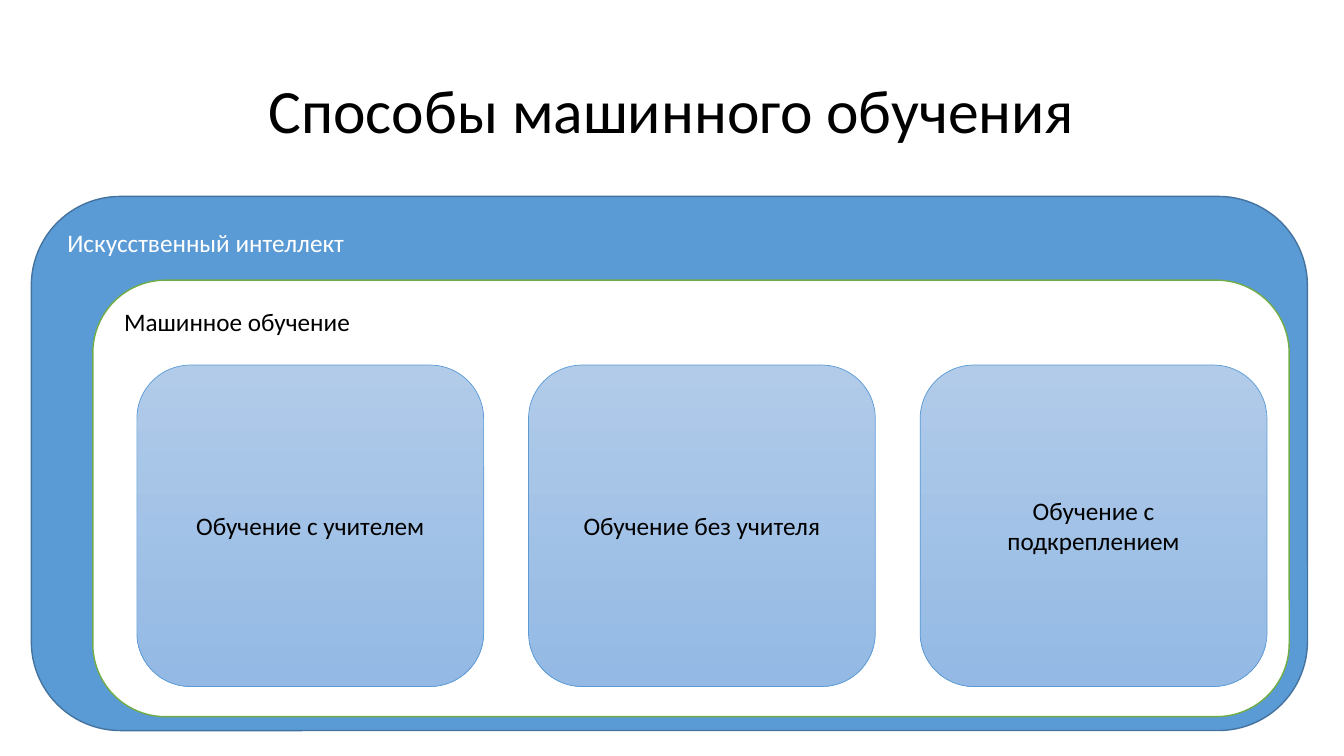
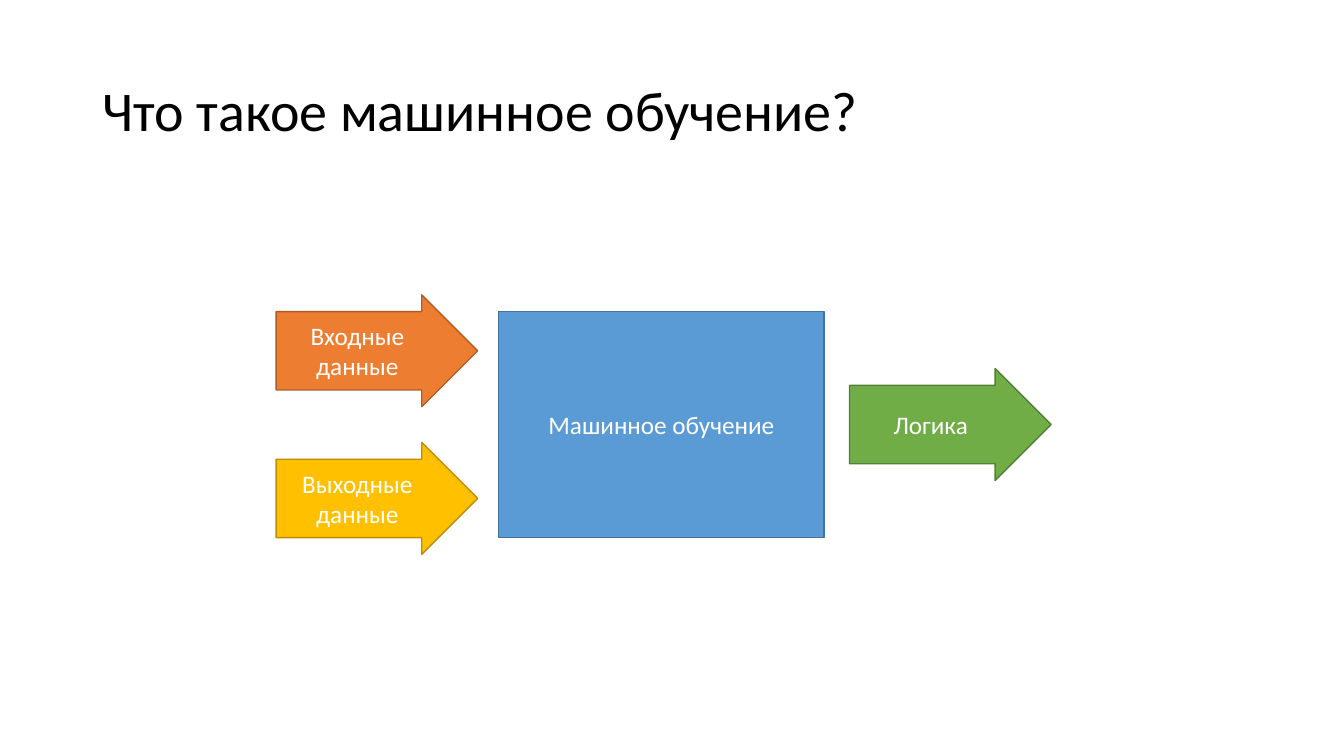
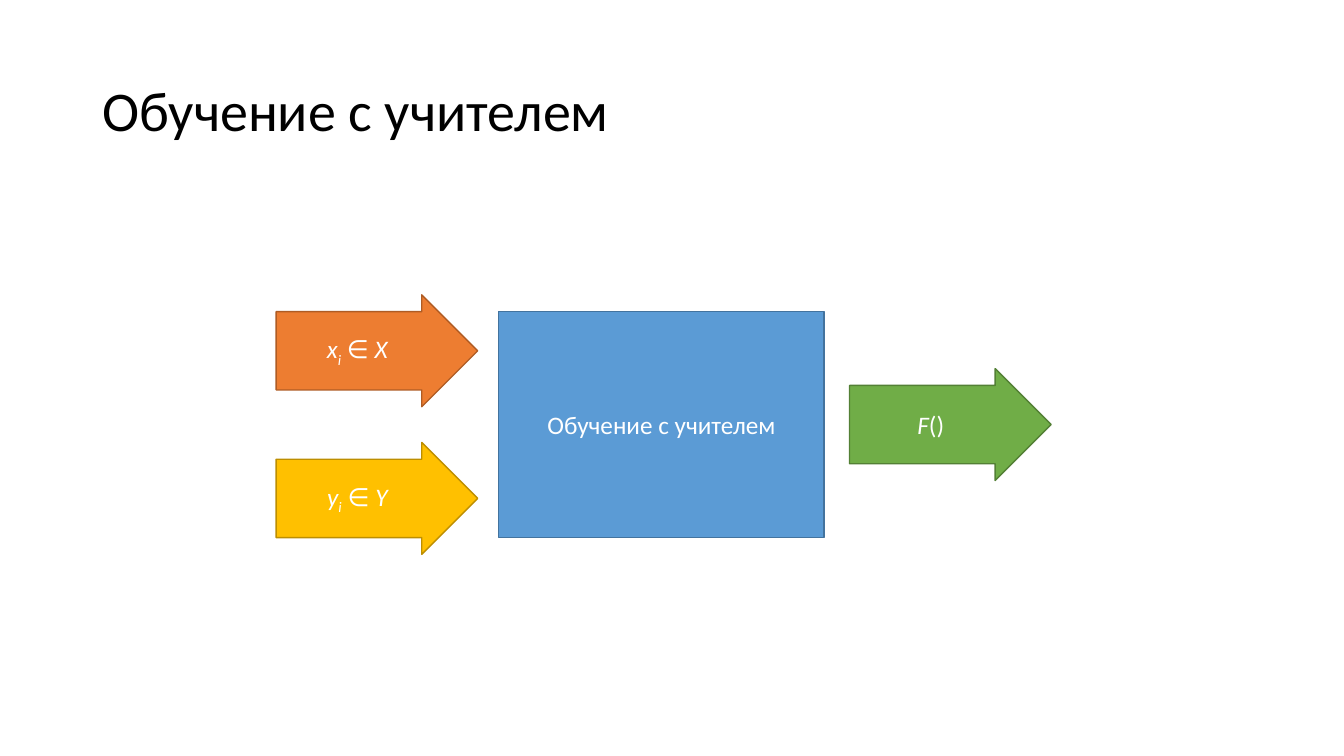
from pptx import Presentation
from pptx import util as u
from pptx.dml.color import RGBColor
from pptx.enum import shapes, text

FONT = "Calibri"
COLOURS = {
    "black": "000000", "white": "FFFFFF",
    "blue": "5B9BD5", "blue_edge": "43739E",
    "orange": "ED7D31", "orange_edge": "AF5C24",
    "gold": "FFC000", "gold_edge": "BD8E00",
    "green": "70AD47", "green_edge": "538035",
    "card_top": "B1CBE9", "card_bottom": "93B9E4",
}

# Content: a label is a list of paragraphs, a paragraph is a list of (text, style)
METHODS_TITLE = "Способы машинного обучения"
LAYERS = [  # label, box in cm, fill, line, text colour
    ("Искусственный интеллект", (0.79, 4.95, 32.16, 13.46), "blue", "blue_edge", "white"),
    ("Машинное обучение", (2.34, 7.06, 30.15, 11), "white", "green", "black"),
]
METHODS = ["Обучение с учителем", "Обучение без учителя", "Обучение с подкреплением"]


def member(variable, collection):
    return [[(variable, "italic"), ("i", "subscript"), (" ∈ ", ""), (collection, "italic")]]


FLOWS = [
    {"title": "Что такое машинное обучение?",
     "process": [[("Машинное обучение", "")]],
     "inputs": [[[("Входные", "")], [("данные", "")]],
                [[("Выходные", "")], [("данные", "")]]],
     "output": [[("Логика", "")]]},
    {"title": "Обучение с учителем",
     "process": [[("Обучение с учителем", "")]],
     "inputs": [member("x", "X"), member("y", "Y")],
     "output": [[("F", "italic"), ("()", "")]]},
]

# Geometry in cm
TITLE_BOX = (2.33, 1.01, 29.21, 3.68)
CARD_LEFT, CARD_TOP, CARD_WIDTH, CARD_HEIGHT, CARD_GAP = 3.45, 9.2, 8.74, 8.1, 1.13
PROCESS_BOX = (12.57, 7.85, 8.2, 5.7)
ARROW_WIDTH, ARROW_HEIGHT = 5.08, 2.82
INPUT_GAP, OUTPUT_GAP, INPUT_OFFSET = 0.53, 0.64, 1.86
SHAFT_SHARE = 0.7  # part of the arrow height, tall enough for two lines

ROUNDED = shapes.MSO_SHAPE.ROUNDED_RECTANGLE
ARROW = shapes.MSO_SHAPE.RIGHT_ARROW
LEFT, CENTRE = text.PP_ALIGN.LEFT, text.PP_ALIGN.CENTER
TOP, MIDDLE = text.MSO_ANCHOR.TOP, text.MSO_ANCHOR.MIDDLE


def colour(name):
    return RGBColor.from_string(COLOURS[name])


def lengths(box):
    return [u.Cm(value) for value in box]


def write(shape, label, size, text_colour, align, anchor):
    frame = shape.text_frame
    frame.word_wrap = True
    frame.vertical_anchor = anchor
    for index, parts in enumerate(label):
        paragraph = frame.add_paragraph() if index else frame.paragraphs[0]
        paragraph.alignment = align
        for words, style in parts:
            run = paragraph.add_run()
            run.text = words
            run.font.name = FONT
            run.font.size = u.Pt(size)
            run.font.color.rgb = colour(text_colour)
            if style:
                run.font.italic = True
            if style == "subscript":
                run._r.get_or_add_rPr().set("baseline", "-25000")


def add_slide(presentation, title, size, align):
    slide = presentation.slides.add_slide(presentation.slide_layouts[6])
    box = slide.shapes.add_textbox(*lengths(TITLE_BOX))
    write(box, [[(title, "")]], size, "black", align, MIDDLE)
    box.text_frame.paragraphs[0].line_spacing = 0.9
    return slide


def add_block(parent, kind, box, label, fill, edge, text_colour="white",
              edge_width=1, align=CENTRE, anchor=MIDDLE):
    shape = parent.add_shape(kind, *lengths(box))
    shape.shadow.inherit = False
    if isinstance(fill, tuple):
        shape.fill.gradient()
        shape.fill.gradient_angle = 270
        for stop, name in zip(shape.fill.gradient_stops, fill):
            stop.color.rgb = colour(name)
    else:
        shape.fill.solid()
        shape.fill.fore_color.rgb = colour(fill)
    shape.line.color.rgb = colour(edge)
    shape.line.width = u.Pt(edge_width)
    write(shape, label, 18, text_colour, align, anchor)
    return shape


def add_methods_slide(presentation):
    slide = add_slide(presentation, METHODS_TITLE, 44, CENTRE)
    # Nested layers
    for label, box, fill, edge, text_colour in LAYERS:
        add_block(slide.shapes, ROUNDED, box, [[(label, "")]], fill, edge,
                  text_colour, align=LEFT, anchor=TOP)
    # Row of method cards
    for index, method in enumerate(METHODS):
        left = CARD_LEFT + index * (CARD_WIDTH + CARD_GAP)
        add_block(slide.shapes, ROUNDED, (left, CARD_TOP, CARD_WIDTH, CARD_HEIGHT),
                  [[(method, "")]], ("card_top", "card_bottom"), "blue", "black", 0.5)


def add_flow_slide(presentation, flow):
    slide = add_slide(presentation, flow["title"], 40, LEFT)
    group = slide.shapes.add_group_shape().shapes
    left, top, width, height = PROCESS_BOX
    middle = top + height / 2
    add_block(group, shapes.MSO_SHAPE.RECTANGLE, PROCESS_BOX, flow["process"],
              "blue", "blue_edge")
    # Arrows into and out of the process
    input_left = left - INPUT_GAP - ARROW_WIDTH
    first, second = flow["inputs"]
    arrows = [
        (first, input_left, middle - INPUT_OFFSET, "orange"),
        (second, input_left, middle + INPUT_OFFSET, "gold"),
        (flow["output"], left + width + OUTPUT_GAP, middle, "green"),
    ]
    for label, arrow_left, centre, fill in arrows:
        box = (arrow_left, centre - ARROW_HEIGHT / 2, ARROW_WIDTH, ARROW_HEIGHT)
        arrow = add_block(group, ARROW, box, label, fill, fill + "_edge")
        arrow.adjustments[0] = SHAFT_SHARE


def main():
    presentation = Presentation()
    presentation.slide_width, presentation.slide_height = u.Cm(33.87), u.Cm(19.05)
    add_methods_slide(presentation)
    for flow in FLOWS:
        add_flow_slide(presentation, flow)
    presentation.save("out.pptx")


if __name__ == "__main__":
    main()
